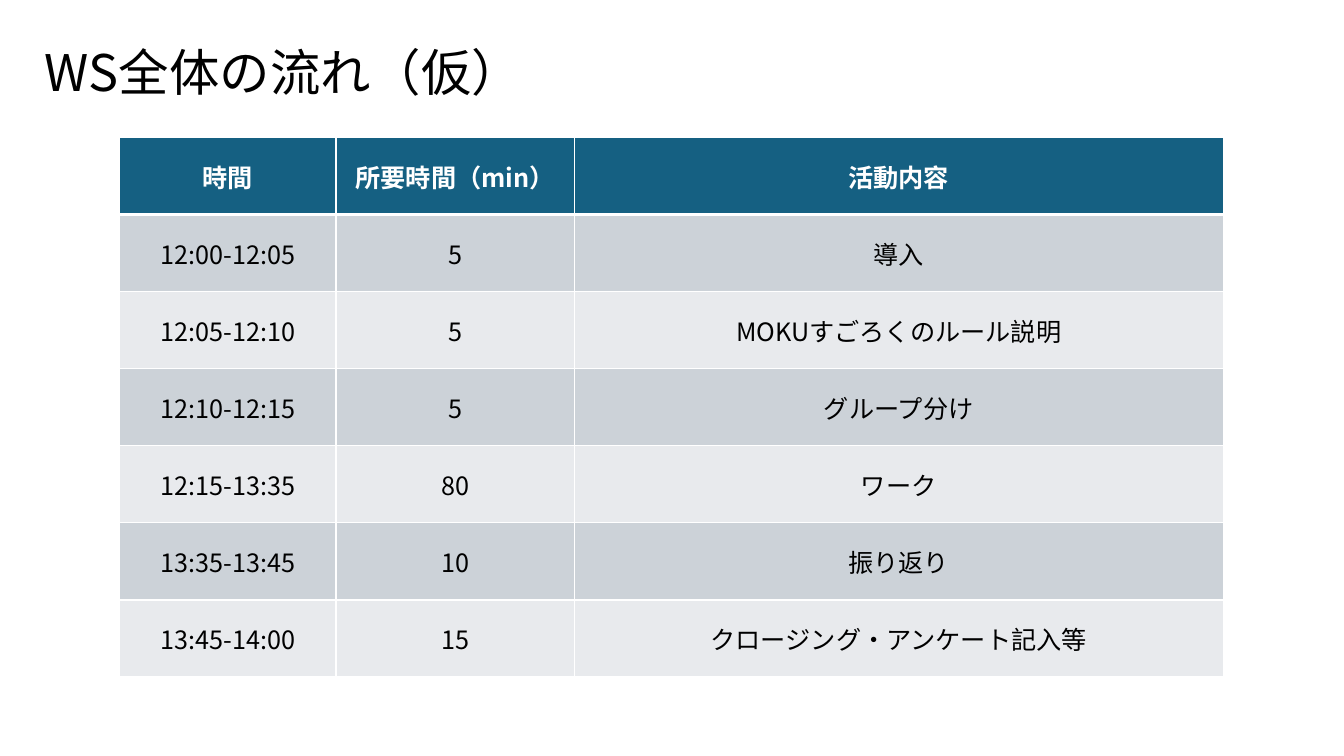
from lxml.etree import SubElement
from pptx import Presentation
from pptx.dml.color import RGBColor
from pptx.enum.text import MSO_ANCHOR, PP_ALIGN
from pptx.oxml.ns import qn
from pptx.util import Pt

PX = 9525  # EMU in one px
FONT = "Noto Sans CJK JP"

BLACK = RGBColor(0x00, 0x00, 0x00)
WHITE = RGBColor(0xFF, 0xFF, 0xFF)
HEADER_BLUE = RGBColor(0x15, 0x60, 0x82)
BAND_DARK = RGBColor(0xCC, 0xD2, 0xD8)
BAND_LIGHT = RGBColor(0xE8, 0xEA, 0xED)

TITLE_FORMAT = {"name": FONT, "size": Pt(36), "bold": False}
HEADER_FORMAT = {"name": FONT, "size": Pt(18), "bold": True}
BODY_FORMAT = {"name": FONT, "size": Pt(18), "bold": False}

COLUMN_WIDTHS = [206, 227, 618]
SCHEDULE = [
    ("時間", "所要時間（min）", "活動内容"),
    ("12:00-12:05", "5", "導入"),
    ("12:05-12:10", "5", "MOKUすごろくのルール説明"),
    ("12:10-12:15", "5", "グループ分け"),
    ("12:15-13:35", "80", "ワーク"),
    ("13:35-13:45", "10", "振り返り"),
    ("13:45-14:00", "15", "クロージング・アンケート記入等"),
]


def write_text(frame, text, font_format, color):
    """Write one centred paragraph in a text frame."""
    para = frame.paragraphs[0]
    para.alignment = PP_ALIGN.CENTER
    span = para.add_run()
    span.text = text
    for name, value in font_format.items():
        setattr(span.font, name, value)
    span.font.color.rgb = color
    east_asian = SubElement(span.font._element, qn("a:ea"))
    east_asian.set("typeface", FONT)
    return para


def set_borders(cell, bottom_points):
    """Draw white borders round a cell."""
    properties = cell._tc.get_or_add_tcPr()
    for side, points in (("L", 1), ("R", 1), ("T", 1), ("B", bottom_points)):
        line = SubElement(properties, qn("a:ln" + side), w=str(Pt(points)))
        fill = SubElement(line, qn("a:solidFill"))
        SubElement(fill, qn("a:srgbClr"), val=str(WHITE))


def add_title(page, box, text):
    title = page.shapes.add_textbox(*(length * PX for length in box))
    frame = title.text_frame
    frame.word_wrap = True
    frame.vertical_anchor = MSO_ANCHOR.BOTTOM
    para = write_text(frame, text, TITLE_FORMAT, BLACK)
    para.line_spacing = 0.9


def add_schedule(page, box, rows):
    left, top, width, height = (length * PX for length in box)
    table = page.shapes.add_table(
        len(rows), len(COLUMN_WIDTHS), left, top, width, height).table
    for column, column_width in zip(table.columns, COLUMN_WIDTHS):
        column.width = column_width * PX

    for row_index, texts in enumerate(rows):
        is_header = row_index == 0
        if is_header:
            font_format, color, band = HEADER_FORMAT, WHITE, HEADER_BLUE
        else:
            font_format, color = BODY_FORMAT, BLACK
            band = BAND_DARK if row_index % 2 else BAND_LIGHT
        for column_index, text in enumerate(texts):
            cell = table.cell(row_index, column_index)
            cell.vertical_anchor = MSO_ANCHOR.MIDDLE
            # The header's thick lower edge is shared with the first body row
            if row_index == 1:
                cell._tc.get_or_add_tcPr()
            set_borders(cell, 3 if is_header else 1)
            if row_index == 1:
                cell._tc.tcPr.find(qn("a:lnT")).set("w", str(Pt(3)))
            cell.fill.solid()
            cell.fill.fore_color.rgb = band
            write_text(cell.text_frame, text, font_format, color)


def main():
    deck = Presentation()
    deck.slide_width = 1280 * PX
    deck.slide_height = 720 * PX
    page = deck.slides.add_slide(deck.slide_layouts[6])
    add_schedule(page, (114, 131, sum(COLUMN_WIDTHS), 514), SCHEDULE)
    add_title(page, (14, 31, 512, 71), "WS全体の流れ（仮）")
    deck.save("out.pptx")


if __name__ == "__main__":
    main()
